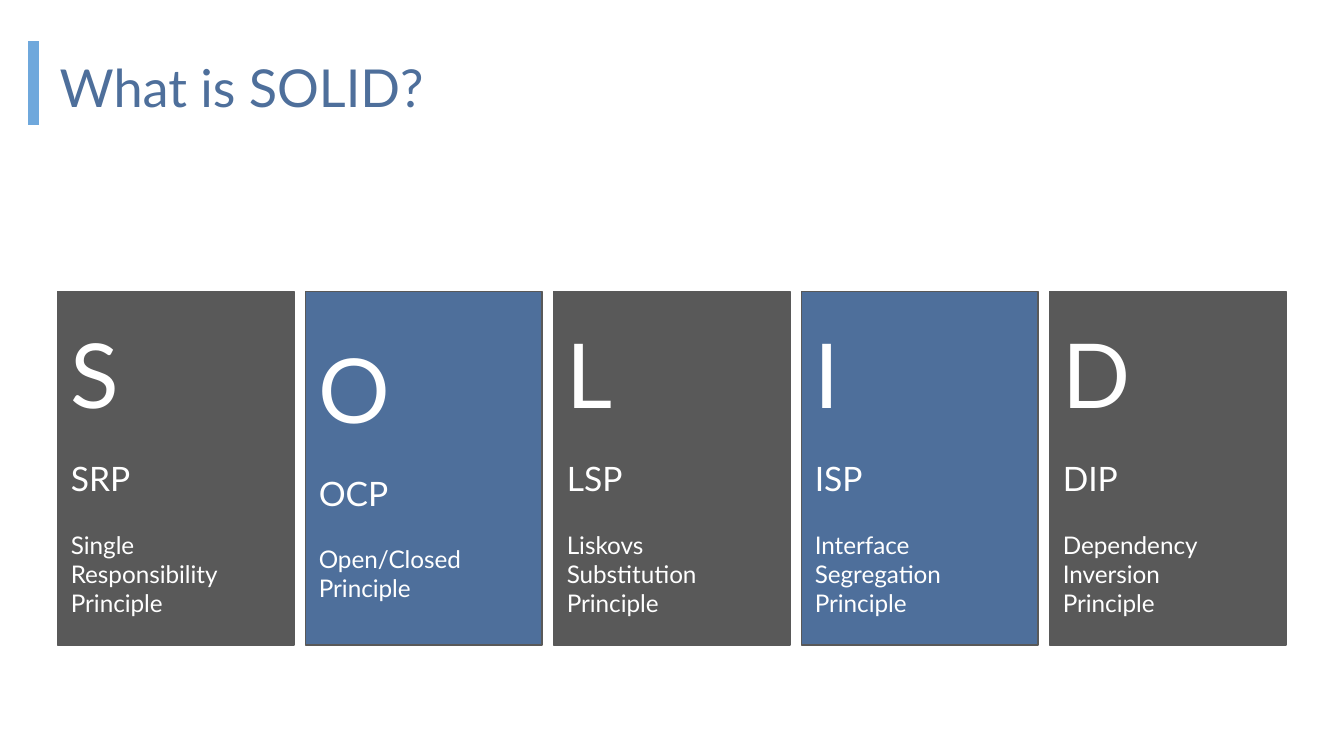
from lxml import etree
from pptx import Presentation
from pptx.dml.color import RGBColor
from pptx.enum.shapes import MSO_CONNECTOR, MSO_SHAPE
from pptx.enum.text import MSO_ANCHOR, MSO_AUTO_SIZE, PP_ALIGN
from pptx.oxml.ns import qn
from pptx.util import Pt

STRAIGHT = MSO_CONNECTOR.STRAIGHT
RECTANGLE = MSO_SHAPE.RECTANGLE
TOP, MIDDLE = MSO_ANCHOR.TOP, MSO_ANCHOR.MIDDLE
NO_AUTOFIT = MSO_AUTO_SIZE.NONE
LEFT = PP_ALIGN.LEFT

BLUE, GRAY, SKY, WHITE = "4E6F9B", "595959", "6FA8DC", "FFFFFF"

PRINCIPLES = [
    ("S", "SRP", ["Single", "Responsibility", "Principle"]),
    ("O", "OCP", ["Open/Closed", "Principle"]),
    ("L", "LSP", ["Liskovs", "Substitution", "Principle"]),
    ("I", "ISP", ["Interface", "Segregation", "Principle"]),
    ("D", "DIP", ["Dependency", "Inversion", "Principle"]),
]


def color(hex_string):
    return RGBColor.from_string(hex_string)


def write(paragraph, text, *, size, fill=WHITE, font="Lato", before=0):
    paragraph.alignment = LEFT
    paragraph.space_before = Pt(before)
    run = paragraph.add_run()
    run.text = text
    run.font.name = font
    run.font.size = Pt(size)
    run.font.color.rgb = color(fill)


class SlideBuilder:
    inset = 7.2
    section_gap = 16.8  # between letter, acronym and full name

    def __init__(self, slide):
        self.slide = slide

    def frame(self, shape, anchor):
        frame = shape.text_frame
        frame.margin_left = frame.margin_right = Pt(self.inset)
        frame.margin_top = frame.margin_bottom = Pt(self.inset)
        frame.vertical_anchor = anchor
        frame.auto_size = NO_AUTOFIT
        frame.word_wrap = True
        return frame

    def title(self, text, left, top, width, height):
        heading = self.slide.shapes.title
        heading.left, heading.top = Pt(left), Pt(top)
        heading.width, heading.height = Pt(width), Pt(height)
        frame = self.frame(heading, TOP)
        write(frame.paragraphs[0], text, size=28, fill=BLUE)

    def accent(self, x, top, bottom):
        bar = self.slide.shapes.add_connector(
            STRAIGHT, Pt(x), Pt(top), Pt(x), Pt(bottom))
        bar.line.color.rgb = color(SKY)
        bar.line.width = Pt(6)
        etree.SubElement(bar.line._get_or_add_ln().getparent(), qn("a:effectLst"))

    def card(self, principle, left, top, width, height, fill):
        letter, acronym, name_lines = principle
        card = self.slide.shapes.add_shape(
            RECTANGLE, Pt(left), Pt(top), Pt(width), Pt(height))
        card.shadow.inherit = False
        card.fill.solid()
        card.fill.fore_color.rgb = color(fill)
        card.line.color.rgb = color(GRAY)
        card.line.width = Pt(0.75)

        frame = self.frame(card, MIDDLE)
        write(frame.paragraphs[0], letter, size=48)
        write(frame.add_paragraph(), acronym, size=18, before=self.section_gap)
        for index, line in enumerate(name_lines):
            write(frame.add_paragraph(), line, size=13,
                  before=0 if index else self.section_gap)


def main():
    deck = Presentation()
    deck.slide_width, deck.slide_height = Pt(720), Pt(405)
    builder = SlideBuilder(deck.slides.add_slide(deck.slide_layouts[5]))

    # Heading with its accent bar
    builder.accent(18, 22, 67)
    builder.title("What is SOLID?", 24.8, 22.3, 666, 45.4)

    # One card per principle, in alternating colours
    first_left, pitch = 30.9, 132.85
    for index, principle in enumerate(PRINCIPLES):
        builder.card(principle, first_left + index * pitch, 156.3, 126.7, 189.2,
                     fill=BLUE if index % 2 else GRAY)

    deck.save("out.pptx")


if __name__ == "__main__":
    main()
